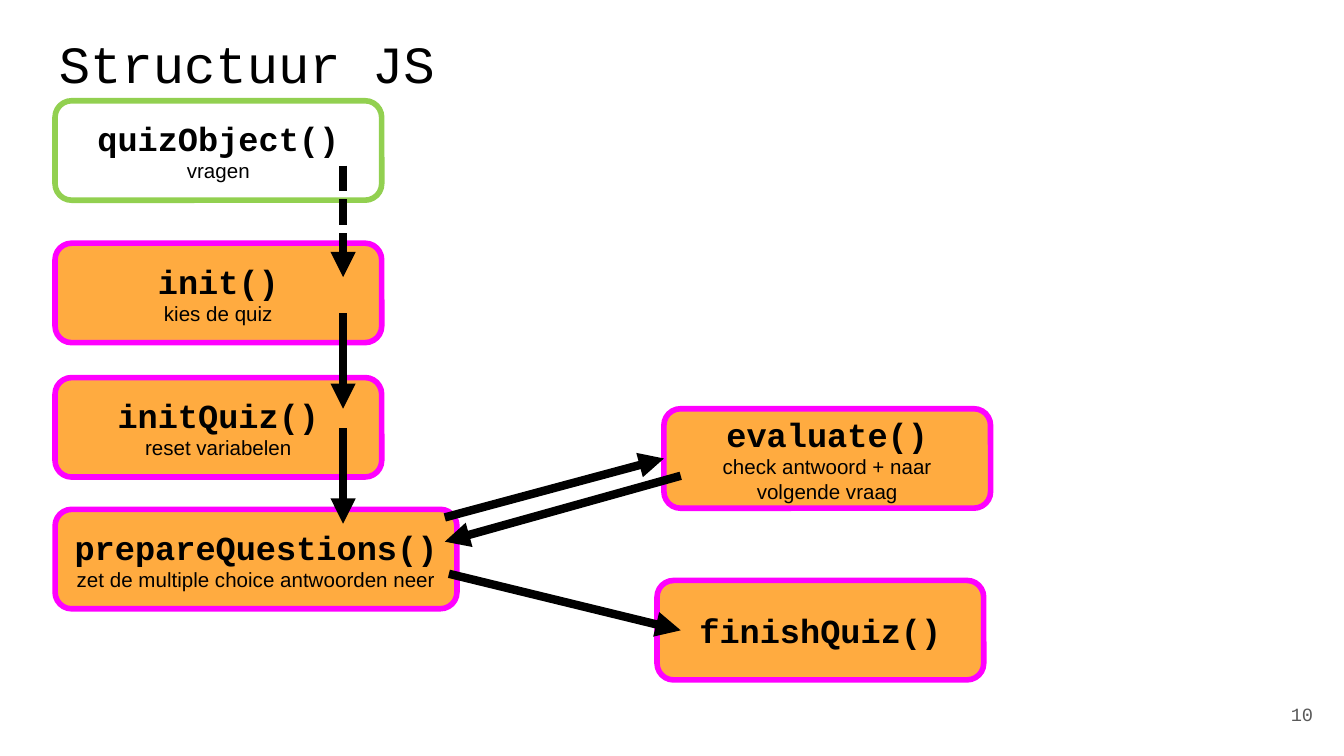
from lxml import etree
from pptx import Presentation
from pptx.dml.color import RGBColor
from pptx.enum.dml import MSO_LINE
from pptx.enum.shapes import MSO_CONNECTOR, MSO_SHAPE
from pptx.enum.text import MSO_ANCHOR, PP_ALIGN
from pptx.oxml.ns import qn
from pptx.util import Pt

STRAIGHT = MSO_CONNECTOR.STRAIGHT
ROUNDED = MSO_SHAPE.ROUNDED_RECTANGLE
DOTTED = MSO_LINE.SQUARE_DOT
TOP, MIDDLE = MSO_ANCHOR.TOP, MSO_ANCHOR.MIDDLE
LEFT, CENTER, RIGHT = PP_ALIGN.LEFT, PP_ALIGN.CENTER, PP_ALIGN.RIGHT
LEFT_SIDE = 1


def color(hex_string):
    return RGBColor.from_string(hex_string)


class Diagram:
    CODE_FONT, TEXT_FONT = "Courier New", "Arial"
    BLACK, GRAY, WHITE = "000000", "595959", "FFFFFF"
    ORANGE, MAGENTA, GREEN = "FFAB40", "FF00FF", "92D050"
    BOX_WIDTH, BOX_HEIGHT = 175, 53.3

    def __init__(self, slide):
        self.slide = slide

    def style(self, font, name, size, hex_color=BLACK, bold=False):
        font.name, font.size, font.bold = name, Pt(size), bold
        font.color.rgb = color(hex_color)

    def label(self, text, left, top, width, height, size,
              hex_color=BLACK, align=LEFT, anchor=TOP):
        shape = self.slide.shapes.add_textbox(Pt(left), Pt(top), Pt(width), Pt(height))
        frame = shape.text_frame
        frame.word_wrap = True
        frame.vertical_anchor = anchor
        frame.margin_left = frame.margin_right = Pt(7.2)
        frame.margin_top = frame.margin_bottom = Pt(7.2)
        paragraph = frame.paragraphs[0]
        paragraph.text = text
        paragraph.alignment = align
        self.style(paragraph.font, self.CODE_FONT, size, hex_color)

    def function_box(self, name, note, left, top, width=BOX_WIDTH,
                     fill=ORANGE, border=MAGENTA):
        shape = self.slide.shapes.add_shape(
            ROUNDED, Pt(left), Pt(top), Pt(width), Pt(self.BOX_HEIGHT))
        shape.shadow.inherit = False
        shape.fill.solid()
        shape.fill.fore_color.rgb = color(fill)
        shape.line.color.rgb = color(border)
        shape.line.width = Pt(3)
        frame = shape.text_frame
        frame.word_wrap = True
        frame.vertical_anchor = MIDDLE
        paragraph = frame.paragraphs[0]
        paragraph.alignment = CENTER
        run = paragraph.add_run()
        run.text = name
        self.style(run.font, self.CODE_FONT, 18, bold=True)
        if note:
            paragraph.add_line_break()
            run = paragraph.add_run()
            run.text = note
            self.style(run.font, self.TEXT_FONT, 11)
        return shape

    def arrow(self, start, end, dash=None):
        connector = self.slide.shapes.add_connector(
            STRAIGHT, *(Pt(value) for value in (*start, *end)))
        line = connector.line
        line.color.rgb = color(self.BLACK)
        line.width = Pt(4.5)
        if dash:
            line.dash_style = dash
        properties = connector.element.spPr
        etree.SubElement(properties.find(qn("a:ln")), qn("a:tailEnd"), type="triangle")
        etree.SubElement(properties, qn("a:effectLst"))
        return connector


def main():
    presentation = Presentation()
    presentation.slide_width, presentation.slide_height = Pt(720), Pt(405)
    slide = presentation.slides.add_slide(presentation.slide_layouts[6])
    slide.background.fill.solid()
    slide.background.fill.fore_color.rgb = color(Diagram.WHITE)
    diagram = Diagram(slide)

    # Title and page number
    diagram.label("Structuur JS", 24.5, 9.4, 671, 45.4, 28)
    diagram.label("10", 667.4, 367.2, 43.2, 31, 10, Diagram.GRAY, RIGHT, MIDDLE)

    # Main column of functions
    column = 29.5
    diagram.function_box("quizObject()", "vragen", column, 54,
                         fill=Diagram.WHITE, border=Diagram.GREEN)
    diagram.function_box("init()", "kies de quiz", column, 130.3)
    diagram.function_box("initQuiz()", "reset variabelen", column, 202.3)
    diagram.function_box("prepareQuestions()", "zet de multiple choice antwoorden neer",
                         column, 272.9, width=215.3)

    # Functions on the right
    evaluate = diagram.function_box(
        "evaluate()", "check antwoord + naar volgende vraag", 355.7, 219)
    diagram.function_box("finishQuiz()", None, 352, 311)

    # Arrows down the column
    arrow_x = 183.8
    for start, end, dash in [(88.8, 148.5, DOTTED), (167.8, 219, None), (229.3, 280.6, None)]:
        diagram.arrow((arrow_x, start), (arrow_x, end), dash)

    # Arrows between prepareQuestions and the right-hand functions
    to_evaluate = diagram.arrow((238.3, 277.2), (355.7, 245.6))
    to_evaluate.end_connect(evaluate, LEFT_SIDE)
    diagram.arrow((364.7, 254.9), (238.3, 290.2))
    diagram.arrow((240.5, 307.4), (364.7, 337.7))

    presentation.save("out.pptx")


if __name__ == "__main__":
    main()
